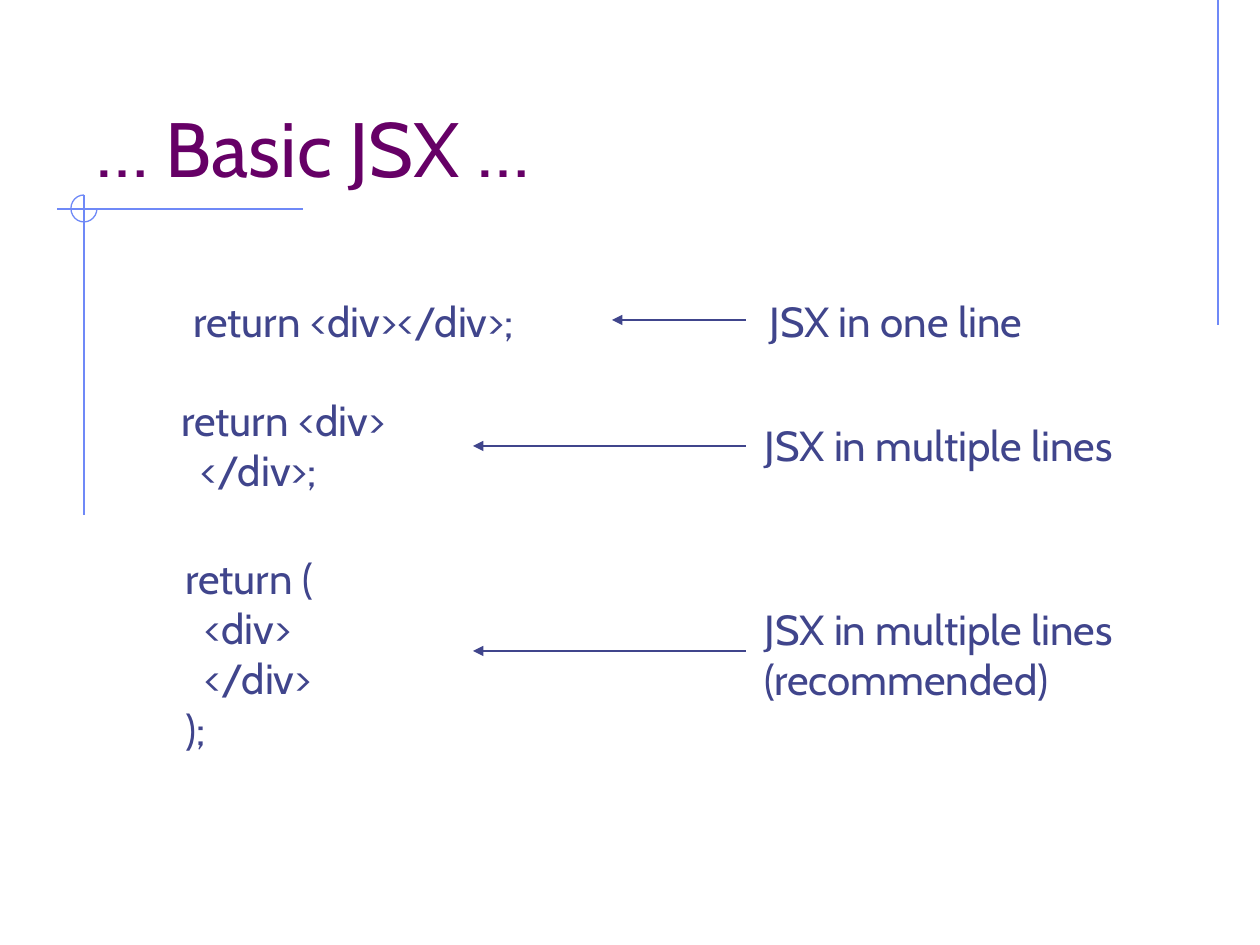
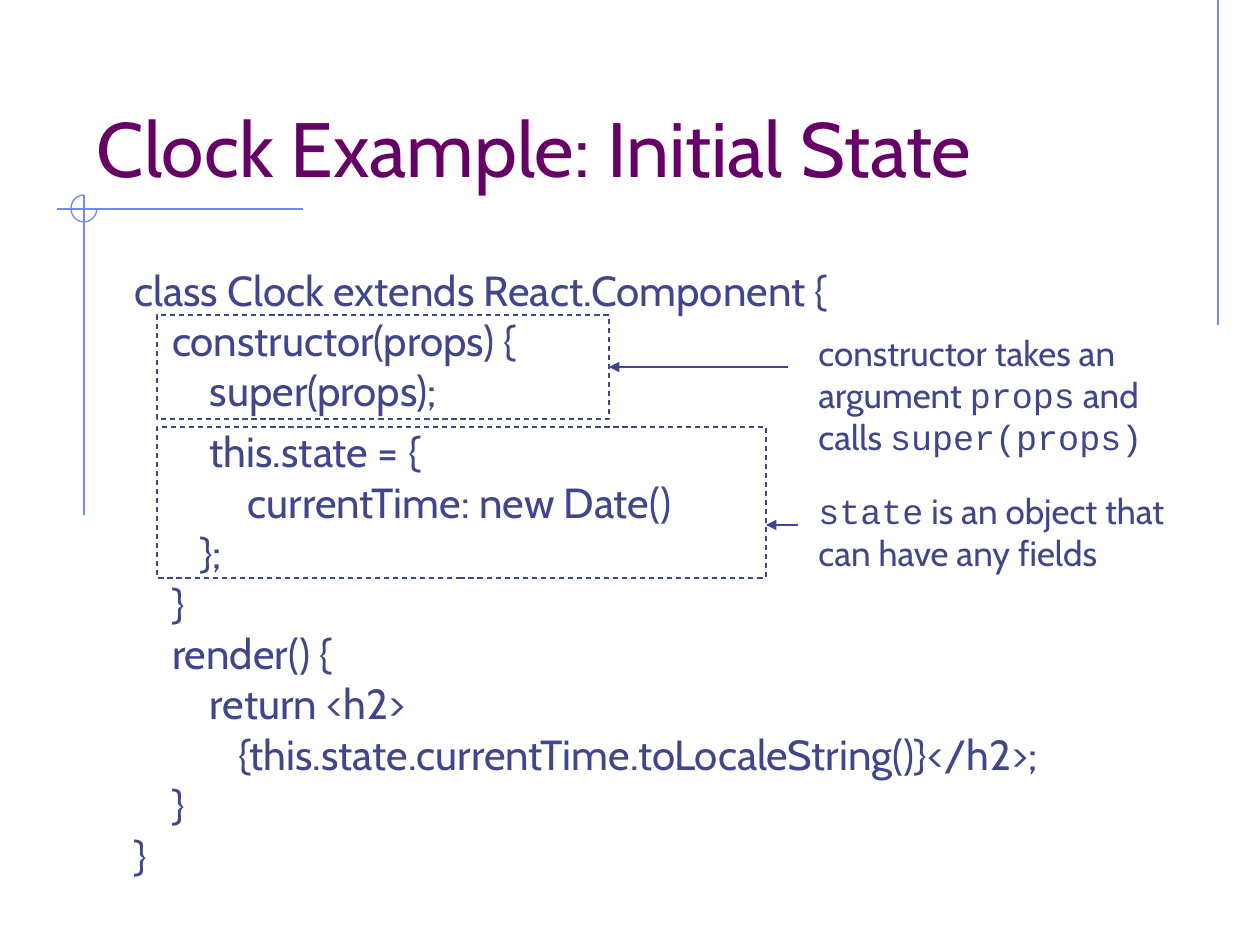
"""Build two slides on JSX and React state with a shared crosshair design."""
from lxml.etree import SubElement
from pptx import Presentation
from pptx.dml.color import RGBColor
from pptx.enum.dml import MSO_LINE
from pptx.enum.shapes import MSO_CONNECTOR, MSO_SHAPE
from pptx.enum.text import MSO_ANCHOR, MSO_AUTO_SIZE, PP_ALIGN
from pptx.oxml.ns import qn
from pptx.util import Inches, Pt

PX = Inches(1) / 126
PURPLE = RGBColor(0x66, 0x00, 0x66)
INDIGO = RGBColor(0x40, 0x45, 0x8C)
SKY = RGBColor(0x6F, 0x89, 0xF7)
FONT = "Cabin"
MONO = "Courier New"

CLOCK_CODE = """class Clock extends React.Component {
    constructor(props) {
        super(props);
        this.state = {
            currentTime: new Date()
       };
    }
    render() {
        return <h2>
           {this.state.currentTime.toLocaleString()}</h2>;
    }
}"""


def emu(*lengths):
    return [round(n * PX) for n in lengths]


class Deck:
    def __init__(self):
        self.prs = Presentation()
        self.prs.slide_width, self.prs.slide_height = Inches(10), Inches(7.5)
        self.s = None

    def slide(self, title):
        self.s = self.prs.slides.add_slide(self.prs.slide_layouts[5])
        self.crosshair()
        sp = self.s.shapes.title
        sp.left, sp.top, sp.width, sp.height = emu(84, 42, 1071, 157)
        tf = sp.text_frame
        tf.auto_size = MSO_AUTO_SIZE.NONE
        tf.vertical_anchor = MSO_ANCHOR.BOTTOM
        tf.text = title
        p = tf.paragraphs[0]
        p.alignment = PP_ALIGN.LEFT
        self.font(p, 44, PURPLE)

    def crosshair(self):
        self.line(1218, 0, 1218, 325, SKY)
        self.line(303, 209, 57, 209, SKY)
        self.line(84, 195, 84, 515, SKY)
        sp = self.shape(MSO_SHAPE.ARC, 71, 195, 26, 27, SKY)
        sp.adjustments[0], sp.adjustments[1] = 0, 162

    def font(self, p, size, color):
        p.font.name, p.font.size = FONT, Pt(size)
        p.font.color.rgb = color

    def text(self, x, y, w, h, text, size=24):
        """Add lines of text, with parts between backticks in the mono font."""
        tf = self.s.shapes.add_textbox(*emu(x, y, w, h)).text_frame
        tf.word_wrap = True
        for i, line in enumerate(text.split("\n")):
            p = tf.add_paragraph() if i else tf.paragraphs[0]
            self.font(p, size, INDIGO)
            for j, part in enumerate(line.split("`")):
                if part:
                    r = p.add_run()
                    r.text = part
                    if j % 2:
                        r.font.name = MONO
        return tf

    def shape(self, kind, x, y, w, h, color):
        sp = self.s.shapes.add_shape(kind, *emu(x, y, w, h))
        sp.shadow.inherit = False
        sp.fill.background()
        sp.line.color.rgb, sp.line.width = color, Pt(0.75)
        return sp

    def dashed_box(self, x, y, w, h):
        sp = self.shape(MSO_SHAPE.RECTANGLE, x, y, w, h, INDIGO)
        sp.line.dash_style = MSO_LINE.DASH
        return sp

    def line(self, x1, y1, x2, y2, color):
        sp = self.s.shapes.add_connector(MSO_CONNECTOR.STRAIGHT, *emu(x1, y1, x2, y2))
        sp.line.color.rgb, sp.line.width = color, Pt(0.75)
        SubElement(sp.element.spPr, qn("a:effectLst"))
        return sp

    def arrow(self, x1, x2, y):
        sp = self.line(x1, y, x2, y, INDIGO)
        ln = sp.element.spPr.find(qn("a:ln"))
        SubElement(ln, qn("a:tailEnd"), type="triangle")
        return sp


def basic_jsx(deck):
    deck.slide("… Basic JSX …")
    deck.text(181, 289, 401, 63, "return <div></div>;")
    deck.text(169, 388, 267, 113, "return <div>\n  </div>;")
    deck.text(173, 546, 174, 214, "return (\n  <div>\n  </div>\n);")
    deck.text(757, 289, 300, 63, "JSX in one line")
    deck.text(752, 413, 407, 63, "JSX in multiple lines")
    deck.text(752, 597, 407, 113, "JSX in multiple lines\n(recommended)")
    for tip, y in ((612, 320), (473, 446), (473, 651)):
        deck.arrow(746, tip, y)


def clock_state(deck):
    deck.slide("Clock Example: Initial State")
    code = deck.text(122, 258, 1057, 629, CLOCK_CODE)
    code.paragraphs[2].space_after = Pt(6)
    constructor = deck.dashed_box(157, 315, 452, 104)
    deck.dashed_box(157, 427, 609, 151)
    deck.text(806, 325, 375, 139,
              "constructor takes an\nargument `props` and\ncalls `super(props)`", 20)
    deck.text(806, 483, 402, 97, "`state` is an object that\ncan have any fields", 20)
    deck.arrow(788, 609, 367).end_connect(constructor, 3)
    deck.arrow(798, 766, 525)


def main():
    deck = Deck()
    basic_jsx(deck)
    clock_state(deck)
    deck.prs.save("out.pptx")


if __name__ == "__main__":
    main()
